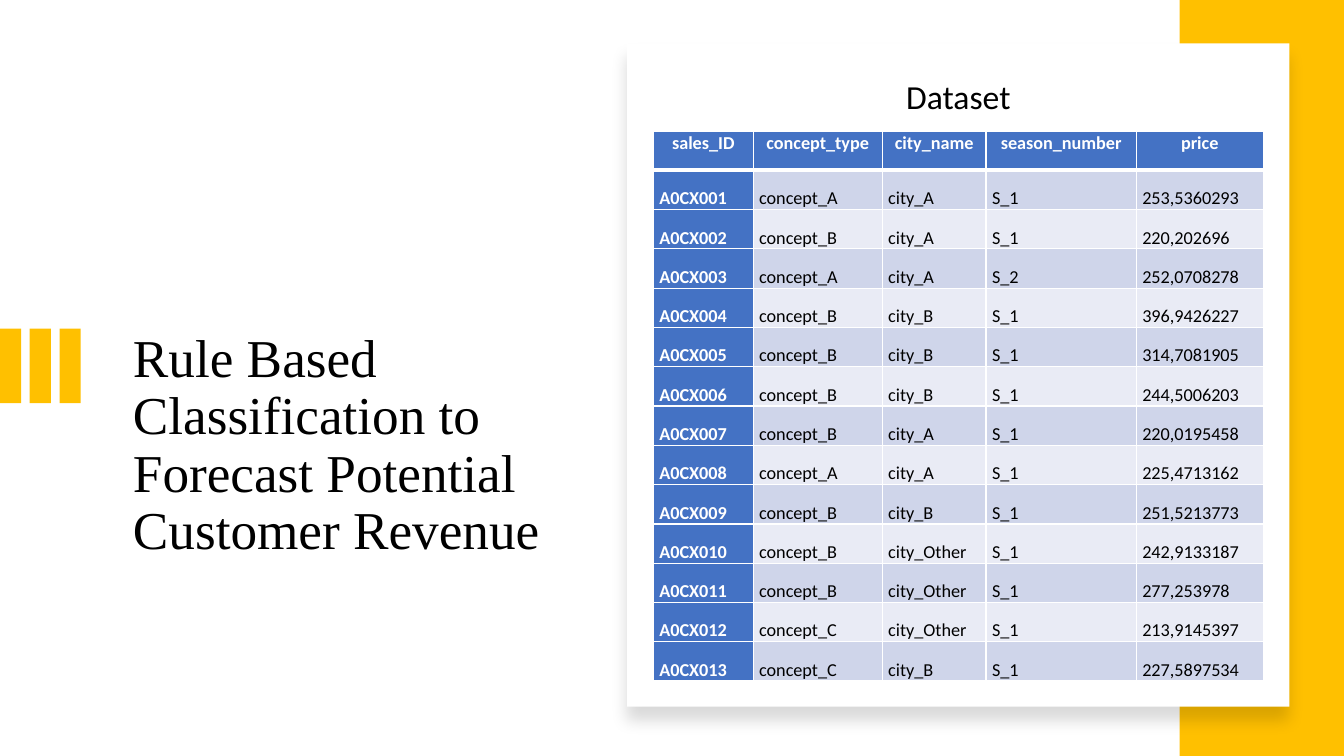
from dataclasses import dataclass

from lxml.etree import SubElement
from pptx import Presentation
from pptx.dml.color import RGBColor
from pptx.enum.shapes import MSO_SHAPE
from pptx.enum.text import MSO_ANCHOR, PP_ALIGN
from pptx.oxml.ns import qn
from pptx.util import Inches, Pt


@dataclass(frozen=True)
class Theme:
    accent: str = "FFC000"
    white: str = "FFFFFF"
    black: str = "000000"
    header: str = "4472C4"
    bands: tuple = ("CFD5EA", "E9EBF5")
    title_font: str = "Times New Roman"
    body_font: str = "Calibri"
    title_size: int = 38
    heading_size: int = 24
    cell_size: int = 13


THEME = Theme()

HEADERS = ("sales_ID", "concept_type", "city_name", "season_number", "price")
COLUMN_WIDTHS = (0.99, 1.28, 1.03, 1.49, 1.26)
SALES = (  # concept, city, season, price; the IDs are numbered in order
    ("A", "A", 1, "253,5360293"),
    ("B", "A", 1, "220,202696"),
    ("A", "A", 2, "252,0708278"),
    ("B", "B", 1, "396,9426227"),
    ("B", "B", 1, "314,7081905"),
    ("B", "B", 1, "244,5006203"),
    ("B", "A", 1, "220,0195458"),
    ("A", "A", 1, "225,4713162"),
    ("B", "B", 1, "251,5213773"),
    ("B", "Other", 1, "242,9133187"),
    ("B", "Other", 1, "277,253978"),
    ("C", "Other", 1, "213,9145397"),
    ("C", "B", 1, "227,5897534"),
)


def write(tf, text, *, size, font=THEME.body_font, color=THEME.black, bold=False,
          align=PP_ALIGN.LEFT, spacing=0.9, after=0):
    tf.word_wrap = True
    p = tf.paragraphs[0]
    p.alignment = align
    p.line_spacing = spacing
    p.space_after = Pt(after)
    r = p.add_run()
    r.text = text
    r.font.size = Pt(size)
    r.font.name = font
    r.font.bold = bold
    r.font.color.rgb = RGBColor.from_string(color)


def add_text(slide, left, top, width, height, text, **fmt):
    s = slide.shapes.add_textbox(Inches(left), Inches(top), Inches(width), Inches(height))
    write(s.text_frame, text, **fmt)


def add_rect(shapes, left, top, width, height, color):
    s = shapes.add_shape(MSO_SHAPE.RECTANGLE, Inches(left), Inches(top),
                         Inches(width), Inches(height))
    s.shadow.inherit = False
    s.fill.solid()
    s.fill.fore_color.rgb = RGBColor.from_string(color)
    s.line.fill.background()
    return s


def add_soft_shadow(s):
    effects = s._element.spPr.find(qn("a:effectLst"))
    shadow = SubElement(effects, qn("a:outerShdw"), blurRad=str(Pt(11)), dist=str(Pt(10)),
                        dir="5400000", algn="t", rotWithShape="0")
    color = SubElement(shadow, qn("a:srgbClr"), val=THEME.black)
    SubElement(color, qn("a:alpha"), val="15000")


def set_borders(cell, **widths):
    tcPr = cell._tc.get_or_add_tcPr()
    for side in "LRTB":
        ln = SubElement(tcPr, qn(f"a:ln{side}"), w=str(Pt(widths.get(side, 1))))
        fill = SubElement(ln, qn("a:solidFill"))
        SubElement(fill, qn("a:srgbClr"), val=THEME.white)


def add_title(slide, left, top, width, height):
    # Three bars at the slide edge, level with the title
    bars = slide.shapes.add_group_shape()
    for i in range(3):
        add_rect(bars.shapes, 0.295 * i, top + 0.02, 0.21, 0.74, THEME.accent)
    add_text(slide, left, top, width, height,
             "Rule Based Classification to Forecast Potential Customer Revenue",
             size=THEME.title_size, font=THEME.title_font)


def add_sales_table(slide, left, top, width, height):
    rows = [HEADERS] + [
        (f"A0CX{n:03}", f"concept_{concept}", f"city_{city}", f"S_{season}", price)
        for n, (concept, city, season, price) in enumerate(SALES, 1)]
    table = slide.shapes.add_table(len(rows), len(HEADERS), Inches(left), Inches(top),
                                   Inches(width), Inches(height)).table
    for column, column_width in zip(table.columns, COLUMN_WIDTHS):
        column.width = Inches(column_width)
    for i, row in enumerate(rows):
        table.rows[i].height = Inches(height / len(rows))
        for j, text in enumerate(row):
            cell = table.cell(i, j)
            is_header = i == 0
            is_label = is_header or j == 0
            set_borders(cell, B=3 if is_header else 1, T=3 if i == 1 else 1)
            cell.fill.solid()
            cell.fill.fore_color.rgb = RGBColor.from_string(
                THEME.header if is_label else THEME.bands[(i - 1) % 2])
            cell.margin_left = cell.margin_right = Inches(0.06)
            cell.margin_top = cell.margin_bottom = 0
            cell.vertical_anchor = MSO_ANCHOR.TOP if is_header else MSO_ANCHOR.BOTTOM
            write(cell.text_frame, text, size=THEME.cell_size, bold=is_label,
                  color=THEME.white if is_label else THEME.black,
                  align=PP_ALIGN.CENTER if is_header else PP_ALIGN.LEFT,
                  spacing=1.07, after=8)


def add_dataset_card(slide, left, top, width, height):
    card = add_rect(slide.shapes, left, top, width, height, THEME.white)
    add_soft_shadow(card)
    add_sales_table(slide, left + 0.26, top + 0.87, sum(COLUMN_WIDTHS), 5.46)
    add_text(slide, left, top + 0.32, width, 0.5, "Dataset",
             size=THEME.heading_size, align=PP_ALIGN.CENTER)


def main():
    prs = Presentation()
    prs.slide_width, prs.slide_height = Inches(13.33), Inches(7.5)
    slide = prs.slides.add_slide(prs.slide_layouts[6])
    add_title(slide, 1.22, 3.24, 4.41, 2.61)
    # Accent band behind the card
    add_rect(slide.shapes, 11.7, 0, 1.63, 7.5, THEME.accent)
    add_dataset_card(slide, 6.22, 0.43, 6.57, 6.58)
    prs.save("out.pptx")


if __name__ == "__main__":
    main()
